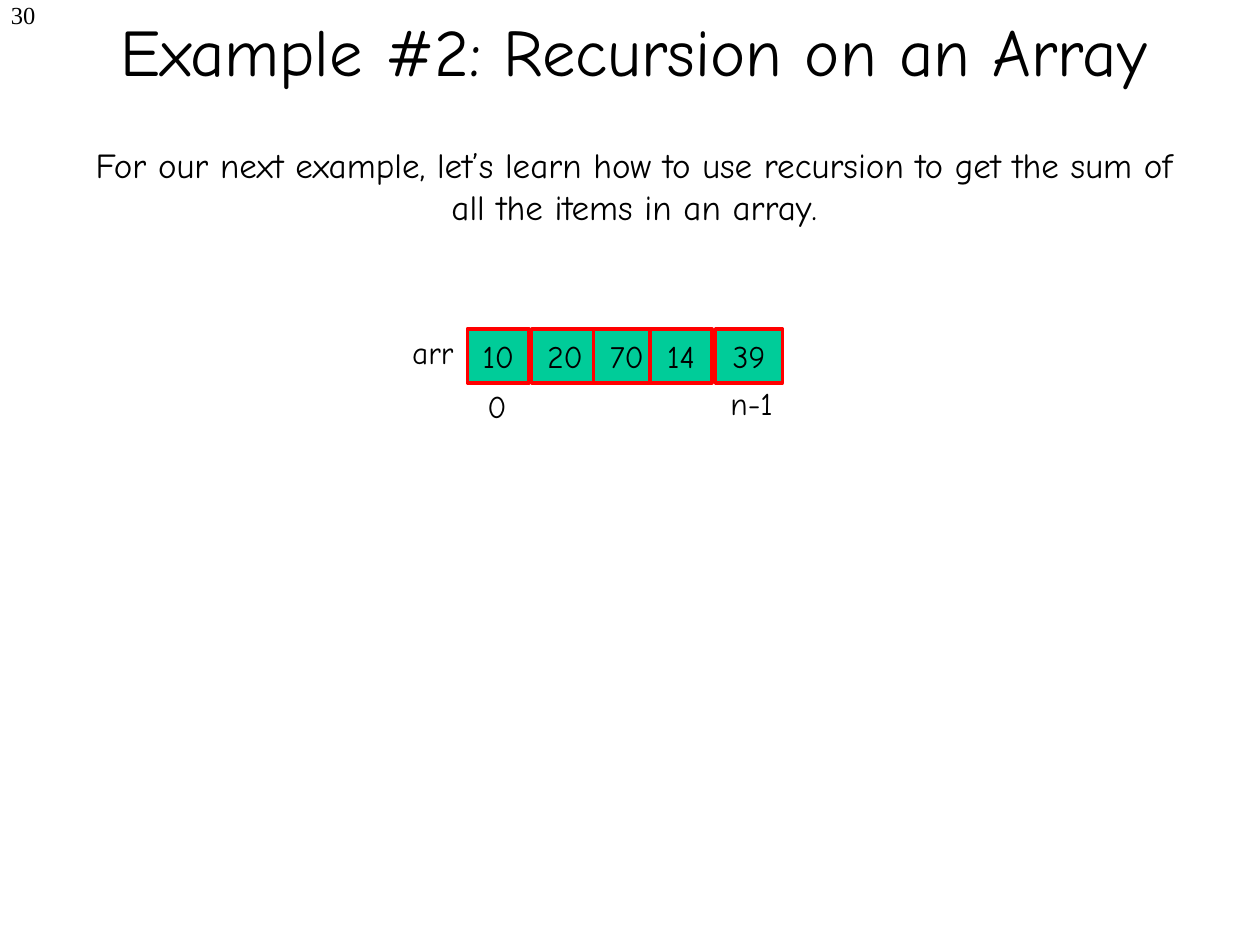
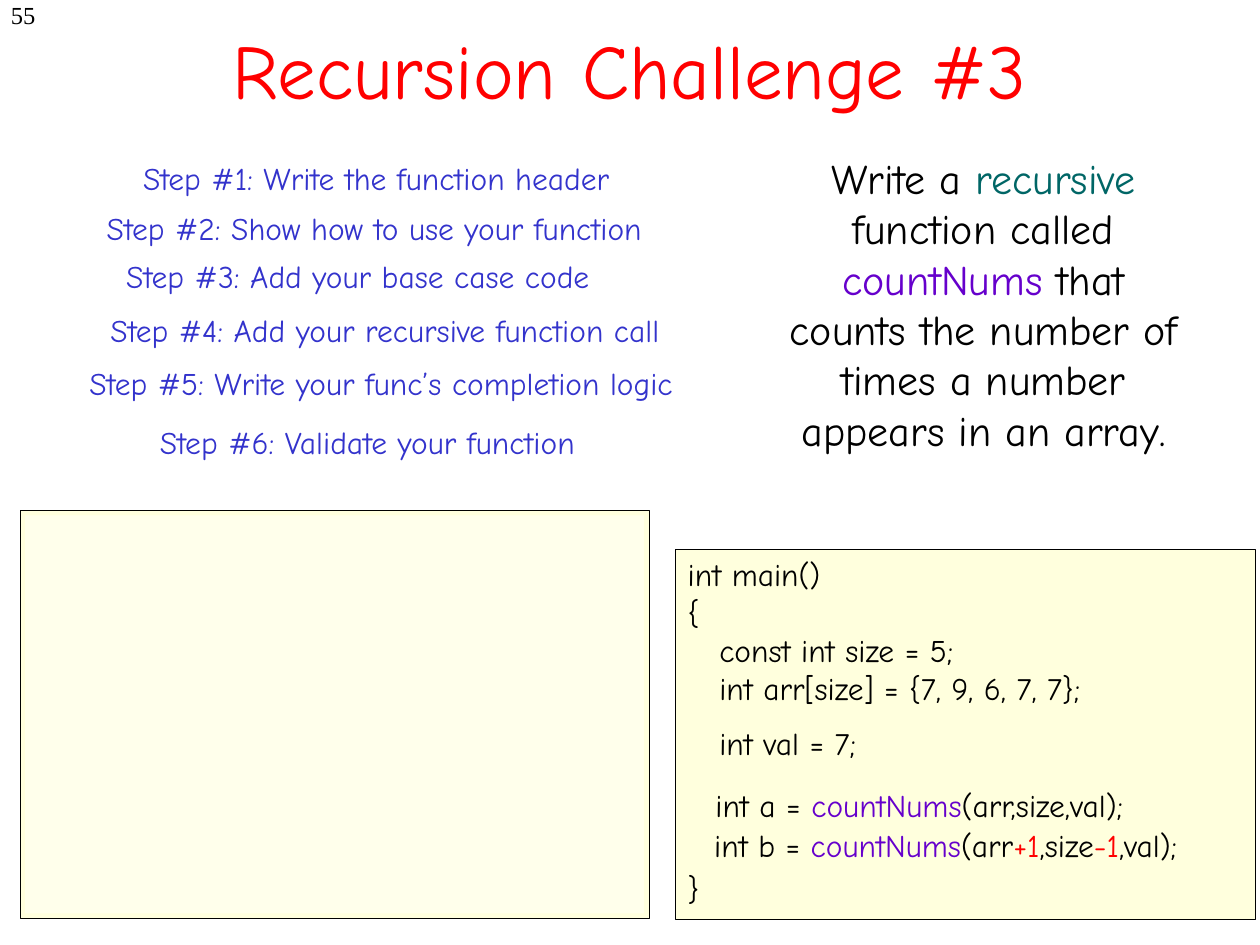
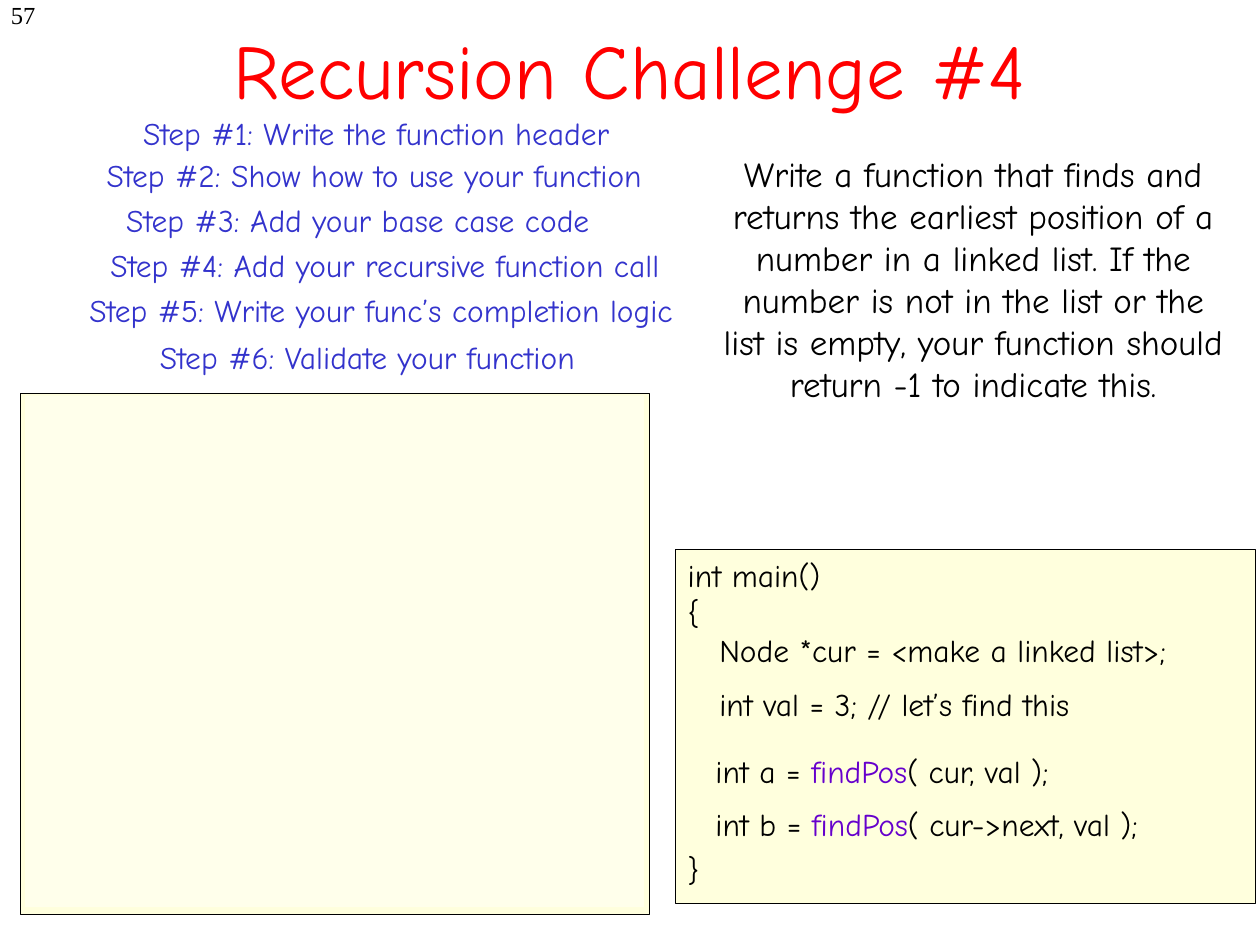
import pptx
import pptx.util
from dataclasses import dataclass
from pptx.dml.color import RGBColor
from pptx.enum.shapes import MSO_SHAPE
from pptx.enum.text import MSO_ANCHOR, PP_ALIGN


@dataclass(frozen=True)
class Theme:
    font: str = "Comic Neue"
    number_font: str = "Times New Roman"
    ink: str = "000000"
    red: str = "FF0000"
    step: str = "3333CC"
    name: str = "6600CC"
    accent: str = "006666"
    cell: str = "00CC99"
    paper: str = "FFFFDD"
    cover: str = "FFFFEB"
    number_size: int = 14
    body_size: int = 18
    text_size: int = 20
    task_size: int = 24
    example_size: int = 38
    title_size: int = 44


T = Theme()
LEFT, CENTER = PP_ALIGN.LEFT, PP_ALIGN.CENTER

prs = pptx.Presentation()
prs.slide_width = pptx.util.Inches(10)
prs.slide_height = pptx.util.Inches(7.5)
COL = prs.slide_width / 100
ROW = prs.slide_height / 75


def add_box(s, at, pieces=(), size=T.body_size, align=CENTER, anchor=MSO_ANCHOR.TOP,
            wrap=True, font=T.font, fill=None, line=None, line_width=0.25):
    """Add text, on a rectangle if filled; at is (column, row, columns, rows)."""
    x, y, w, h = at
    frame = [int(v) for v in (x * COL, y * ROW, w * COL, h * ROW)]
    if fill:
        sp = s.shapes.add_shape(MSO_SHAPE.RECTANGLE, *frame)
        sp.shadow.inherit = False
        sp.fill.solid()
        sp.fill.fore_color.rgb = RGBColor.from_string(fill)
        if line:
            sp.line.color.rgb = RGBColor.from_string(line)
            sp.line.width = pptx.util.Pt(line_width)
        else:
            sp.line.fill.background()
    else:
        sp = s.shapes.add_textbox(*frame)
    tf = sp.text_frame
    tf.word_wrap = wrap
    tf.vertical_anchor = anchor
    for i, (text, color) in enumerate(pieces):
        if i == 0:
            tf.text = text
            runs = [r for p in tf.paragraphs for r in p.runs]
        else:
            runs = [tf.paragraphs[-1].add_run()]
            runs[0].text = text
        for r in runs:
            r.font.name = font
            r.font.size = pptx.util.Pt(size)
            r.font.color.rgb = RGBColor.from_string(color)
    for p in tf.paragraphs:
        p.alignment = align
    return sp


def start_slide(number, title, title_at, size, color):
    """Add a slide with its number and title."""
    s = prs.slides.add_slide(prs.slide_layouts[6])
    sp = add_box(s, (0, 0, 3.8, 3), [(number, T.ink)], T.number_size,
                 PP_ALIGN.RIGHT, font=T.number_font)
    sp.text_frame.margin_left = sp.text_frame.margin_top = 0
    add_box(s, title_at, [(title, color)], size, anchor=MSO_ANCHOR.MIDDLE)
    return s


# Array example
s = start_slide("30", "Example #2: Recursion on an Array", (3.5, -2.3, 93.6, 12.5),
                T.example_size, T.ink)
add_box(s, (5.7, 10.9, 89.3, 7.7),
        [("For our next example, let’s learn how to use recursion to get the sum of "
          "all the items in an array.", T.ink)], T.text_size)

# Array cells, then the labels around them
for value, x, w in [("10", 37.1, 4.9), ("20", 42.2, 5.3), ("70", 47.1, 5.3),
                    ("14", 51.6, 4.9), ("39", 56.8, 5.3)]:
    add_box(s, (x, 26.1, w, 4.3), [(value, T.ink)], anchor=MSO_ANCHOR.MIDDLE,
            wrap=False, fill=T.cell, line=T.red, line_width=2)
for label, x, y, w in [("arr", 31.5, 25.9, 5.7), ("0", 37.7, 30.2, 3.5),
                       ("n-1", 56.9, 30, 5.5)]:
    add_box(s, (x, y, w, 4), [(label, T.ink)], wrap=False)

# Steps shared by the challenges: text, column, columns
steps = [
    ("Step #1: Write the function header", 2.9, 53.9),
    ("Step #2: Show how to use your function", 2.8, 53.8),
    ("Step #3: Add your base case code", 6.6, 43.6),
    ("Step #4: Add your recursive function call", 4, 53.1),
    ("Step #5: Write your func’s completion logic", 3.1, 54.3),
    ("Step #6: Validate your function", 0, 58.3),
]

# What differs between the challenges; gaps are points before a code line
challenges = [
    dict(
        number="55", title="Recursion Challenge #3",
        step_rows=[12.1, 16.1, 19.9, 24.2, 28.4, 33.1],
        answer=(1.6, 40.5, 49.9, 32.4), cover=(2, 40.9, 49.1, 31.6),
        code_rows=29.4,
        code=["int main()", "{", "   const int size = 5;",
              "   int arr[size] = {7, 9, 6, 7, 7};", "   int val = 7;", "}"],
        gaps={4: 10, 5: 61},
        calls=[
            ((55.8, 61.9, 38.3, 4),
             [("int a = ", T.ink), ("countNums", T.name), ("(arr,size,val);", T.ink)]),
            ((55.7, 65.1, 43, 4),
             [("int b = ", T.ink), ("countNums", T.name), ("(arr", T.ink),
              ("+1", T.red), (",size", T.ink), ("-1", T.red), (",val);", T.ink)]),
        ],
        task_at=(61.3, 11.6, 33.5, 25), task_size=T.task_size,
        task=[("Write a ", T.ink), ("recursive", T.accent),
              (" function called ", T.ink), ("countNums ", T.name),
              ("that counts the number of times a number appears in an array.", T.ink)],
    ),
    dict(
        number="57", title="Recursion Challenge #4",
        step_rows=[8.6, 11.9, 15.5, 19, 22.6, 26.3],
        answer=(1.6, 31.2, 49.9, 41.4), cover=(2, 31.4, 49.1, 40.6),
        code_rows=28.1,
        code=["int main()", "{", "   Node *cur = <make a linked list>;",
              "   int val = 3; // let’s find this", "}"],
        gaps={3: 9, 4: 73},
        calls=[
            ((55.8, 59.2, 31, 4),
             [("int a = ", T.ink), ("findPos", T.name), ("( cur, val );", T.ink)]),
            ((55.8, 63.4, 38.6, 4),
             [("int b = ", T.ink), ("findPos", T.name),
              ("( cur->next, val );", T.ink)]),
        ],
        task_at=(56.3, 11.6, 41.9, 24.3), task_size=T.text_size,
        task=[("Write a function that finds and returns the earliest position of a "
               "number in a linked list. If the number is not in the list or the list "
               "is empty, your function should return -1 to indicate this.", T.ink)],
    ),
]

for c in challenges:
    s = start_slide(c["number"], c["title"], (7.5, -0.8, 85, 12.5), T.title_size, T.red)

    # Steps
    for (text, x, w), y in zip(steps, c["step_rows"]):
        add_box(s, (x, y, w, 4), [(text, T.step)])

    # Answer panel and main program
    add_box(s, c["answer"], fill=T.paper, line=T.ink)
    sp = add_box(s, (53.6, 43.6, 46, c["code_rows"]), [("\n".join(c["code"]), T.ink)],
                 align=LEFT, fill=T.paper, line=T.ink)
    for i, gap in c["gaps"].items():
        sp.text_frame.paragraphs[i].space_before = pptx.util.Pt(gap)
    for at, pieces in c["calls"]:
        add_box(s, at, pieces, align=LEFT, wrap=False)

    # Task and the cover over the answer
    add_box(s, c["task_at"], c["task"], c["task_size"])
    add_box(s, c["cover"], fill=T.cover)

prs.save("out.pptx")
